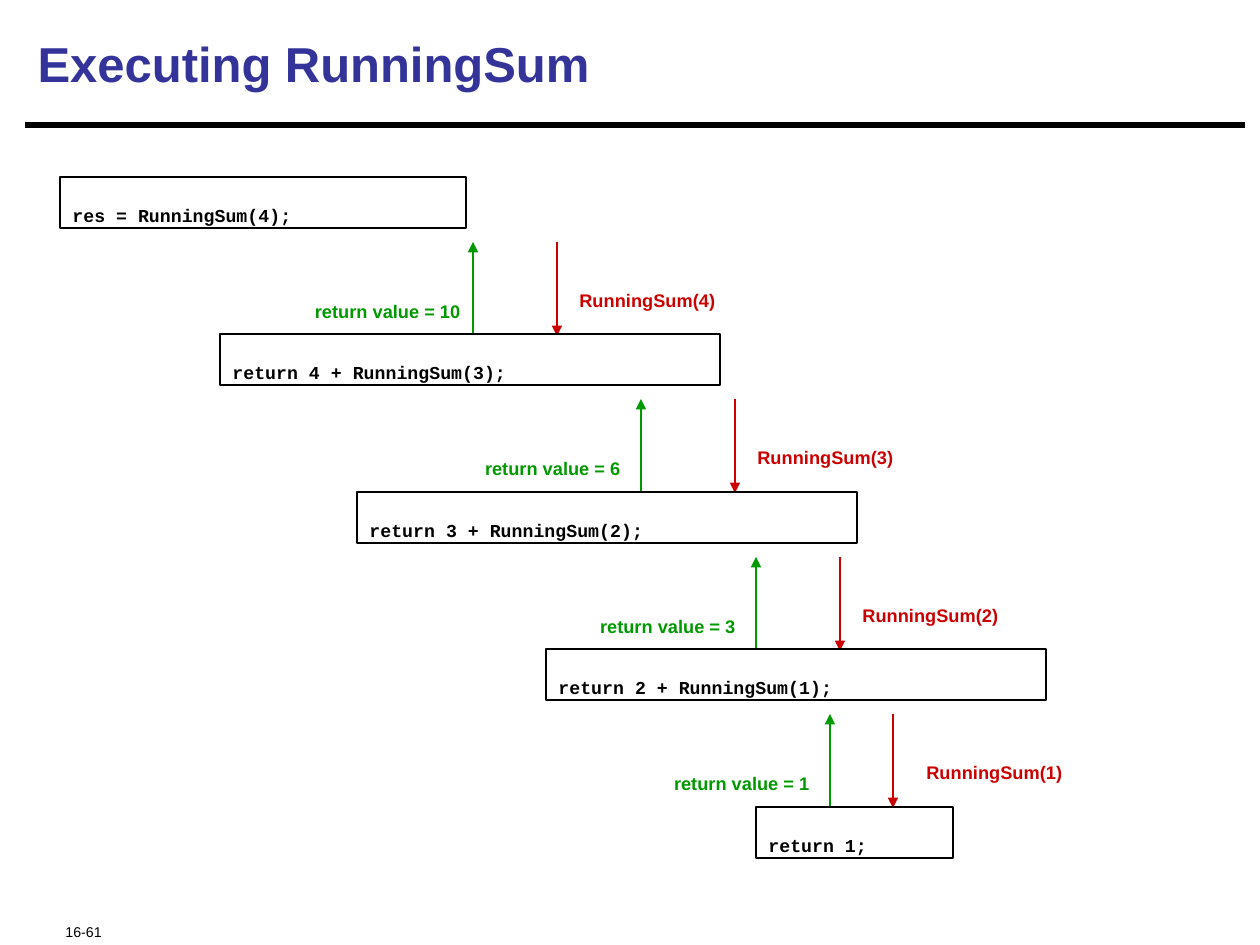
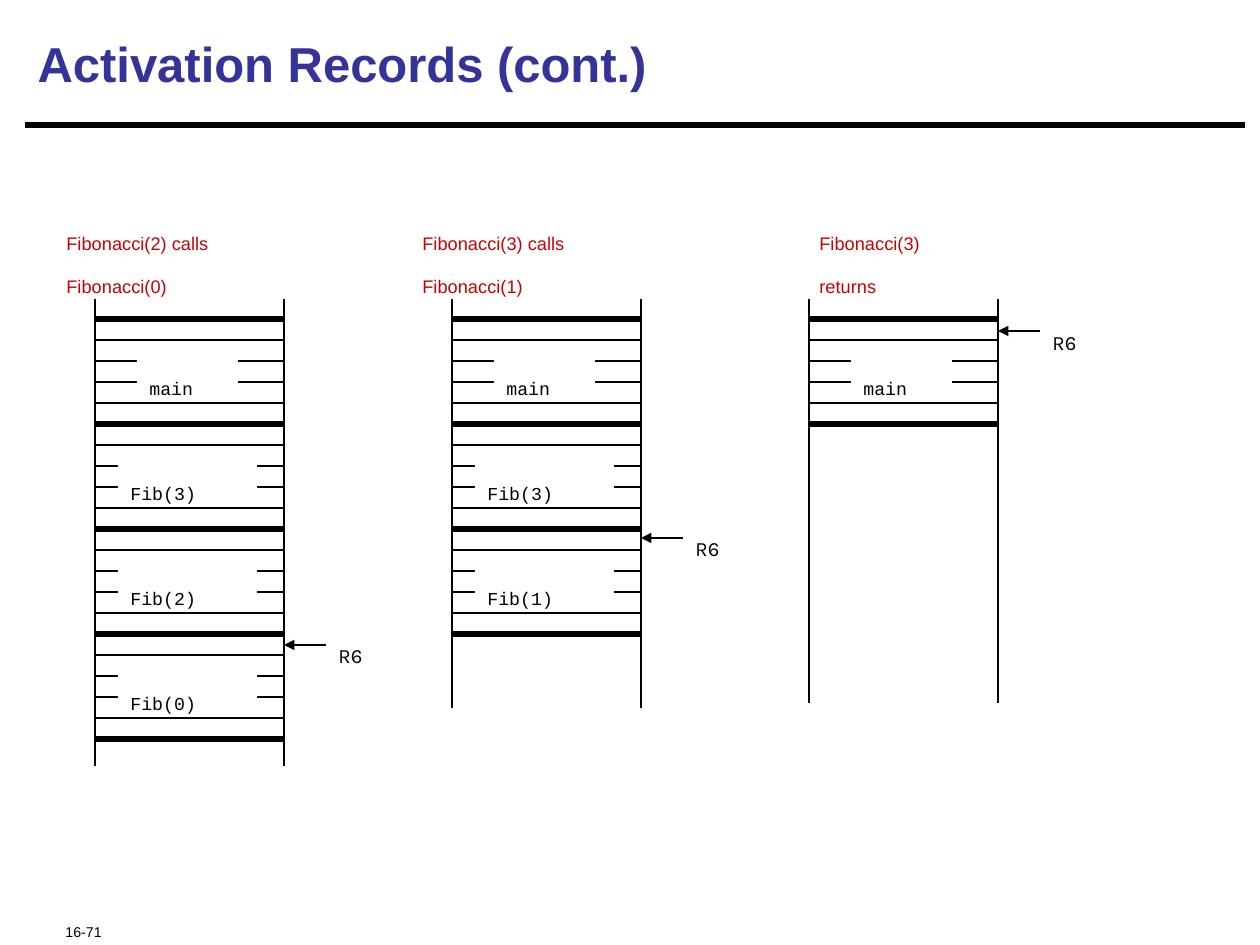
from lxml.etree import SubElement
from pptx import Presentation
from pptx.dml.color import RGBColor
from pptx.enum.shapes import MSO_CONNECTOR, MSO_SHAPE
from pptx.enum.text import MSO_ANCHOR, PP_ALIGN
from pptx.oxml.ns import qn
from pptx.util import Emu, Pt

BLACK, WHITE, TITLE_BLUE = "000000", "FFFFFF", "333399"
CALL_RED, RETURN_GREEN = "CC0000", "009900"
SANS, CODE, REGISTER_FONT = "Arial", "Courier New", "Karla"
TITLE_ONLY = 5


def px(length):
    """Convert pixels (126 to the inch) to EMU."""
    return Emu(round(length * 914400 / 126))


def rgb(hex_color):
    return RGBColor.from_string(hex_color)


def style_text(frame, font, size, color, bold=False, align=PP_ALIGN.LEFT, lowered=True):
    """Format every run; lowered text is set as a subscript."""
    for paragraph in frame.paragraphs:
        paragraph.alignment = align
        for run in paragraph.runs:
            run.font.name = font
            run.font.size = Pt(size)
            run.font.bold = bold
            run.font.color.rgb = rgb(color)
            if lowered:
                properties = run.font._element
                properties.set("baseline", "-25000")
            if font == REGISTER_FONT:
                run.font._element.find(qn("a:latin")).set("pitchFamily", "49")


def add_label(slide, box, text, font=SANS, size=18, color=BLACK,
              anchor=MSO_ANCHOR.TOP, **text_style):
    label = slide.shapes.add_textbox(*map(px, box))
    frame = label.text_frame
    frame.word_wrap = True
    frame.vertical_anchor = anchor
    frame.text = text
    style_text(frame, font, size, color, **text_style)


def add_code_box(slide, box, code, outline=None, bold=False):
    code_box = slide.shapes.add_shape(MSO_SHAPE.RECTANGLE, *map(px, box))
    code_box.shadow.inherit = False
    code_box.fill.solid()
    code_box.fill.fore_color.rgb = rgb(WHITE)
    if outline:
        code_box.line.color.rgb = rgb(outline)
        code_box.line.width = Pt(0.75)
    else:
        code_box.line.fill.background()
    frame = code_box.text_frame
    frame.word_wrap = True
    frame.vertical_anchor = MSO_ANCHOR.TOP
    frame.text = code
    style_text(frame, CODE, 18, BLACK, bold=bold)


def add_line(slide, start, end, color=BLACK, width=0.75, arrow=False):
    line = slide.shapes.add_connector(MSO_CONNECTOR.STRAIGHT, *map(px, (*start, *end)))
    line.line.color.rgb = rgb(color)
    line.line.width = Pt(width)
    if arrow:
        SubElement(line.line._get_or_add_ln(), qn("a:tailEnd"), type="triangle")
    SubElement(line.element.spPr, qn("a:effectLst"))
    return line


def add_title_slide(deck, title, page):
    """Add a slide with the shared title style and page number."""
    slide = deck.slides.add_slide(deck.slide_layouts[TITLE_ONLY])
    heading = slide.shapes.title
    heading.left, heading.top, heading.width, heading.height = map(px, (25, 10, 1219, 106))
    frame = heading.text_frame
    frame.text = title
    frame.vertical_anchor = MSO_ANCHOR.MIDDLE
    style_text(frame, SANS, 28, TITLE_BLUE, bold=True, lowered=False)
    add_label(slide, (53, 901, 315, 34), page, size=14)
    return slide


def add_layout_rule(deck, slide):
    """Draw the rule under the title and move it to the layout."""
    rule = add_line(slide, (25, 125), (1245, 125), width=3.75)
    deck.slide_layouts[TITLE_ONLY].shapes.element.append(rule.element)


def add_call(slide, top, call, call_x, call_gap, result, return_x, return_gap):
    """Draw the call and return arrows that hang below the box at top."""
    upper, lower = top + 64, top + 158
    add_line(slide, (call_x, upper), (call_x, lower), CALL_RED, 1.5, arrow=True)
    add_label(slide, (call_x + call_gap, top + 84, 262, 50), call,
              color=CALL_RED, bold=True)
    add_line(slide, (return_x, lower), (return_x, upper), RETURN_GREEN, 1.5, arrow=True)
    label_width = 278
    add_label(slide, (return_x - return_gap - label_width, top + 95, label_width, 50),
              f"return value = {result}", color=RETURN_GREEN, bold=True,
              align=PP_ALIGN.RIGHT)


def build_running_sum(deck):
    slide = add_title_slide(deck, "Executing RunningSum", "16-61")
    add_layout_rule(deck, slide)
    tops = [178 + 315 * level // 2 for level in range(5)]
    calls = [
        ("RunningSum(4)", 557, 10, 10, 473, 0),
        ("RunningSum(3)", 735, 10, 6, 641, 8),
        ("RunningSum(2)", 840, 10, 3, 756, 8),
        ("RunningSum(1)", 893, 21, 1, 830, 8),
    ]
    for top, call in zip(tops, calls):
        add_call(slide, top, *call)
    statements = [
        ("res = RunningSum(4);", 60, 406),
        ("return 4 + RunningSum(3);", 220, 500),
        ("return 3 + RunningSum(2);", 357, 500),
        ("return 2 + RunningSum(1);", 546, 500),
        ("return 1;", 756, 197),
    ]
    for top, (statement, left, width) in zip(tops, statements):
        add_code_box(slide, (left, top - 1, width, 51), statement, outline=BLACK, bold=True)


STACK_WIDTH = 189
ROW_HEIGHT = 21
ROWS_PER_FRAME = 5
FRAME_HEIGHT = ROW_HEIGHT * ROWS_PER_FRAME


def add_stack(slide, left, top, bottom, functions):
    """Draw a memory column holding one activation record per function."""
    right = left + STACK_WIDTH
    for side in (left, right):
        add_line(slide, (side, top), (side, bottom))
    first_row = top + 20
    for row in range(len(functions) * ROWS_PER_FRAME + 1):
        y = first_row + row * ROW_HEIGHT
        add_line(slide, (left, y), (right, y), width=0.75 if row % ROWS_PER_FRAME else 3)
    for index, function in enumerate(functions):
        width = 101 if function == "main" else 139
        inset = (STACK_WIDTH - width) // 2 - 2
        add_code_box(slide, (left + inset, first_row + index * FRAME_HEIGHT + 31, width, 50),
                     function)


def add_frame_pointer(slide, stack_right, y):
    tail = stack_right + 42
    add_line(slide, (tail, y), (stack_right, y), arrow=True)
    add_label(slide, (tail, y - 31, 71, 54), "R6", font=REGISTER_FONT, size=20)


def build_activation_records(deck):
    slide = add_title_slide(deck, "Activation Records (cont.)", "16-71")
    snapshots = [
        ("Fibonacci(2) calls\vFibonacci(0)", -41, 280, 766, 645,
         ["main", "Fib(3)", "Fib(2)", "Fib(0)"]),
        ("Fibonacci(3) calls\vFibonacci(1)", -42, 280, 708, 538,
         ["main", "Fib(3)", "Fib(1)"]),
        ("Fibonacci(3)\vreturns", -2, 199, 703, 331, ["main"]),
    ]
    for index, snapshot in enumerate(snapshots):
        event, event_shift, event_width, bottom, pointer_y, functions = snapshot
        left = 95 + 357 * index
        add_stack(slide, left, 299, bottom, functions)
        add_frame_pointer(slide, left + STACK_WIDTH, pointer_y)
        add_label(slide, (left + event_shift, 210, event_width, 88), event,
                  color=CALL_RED, anchor=MSO_ANCHOR.MIDDLE)


def main():
    deck = Presentation()
    deck.slide_width, deck.slide_height = px(1260), px(945)
    build_running_sum(deck)
    build_activation_records(deck)
    deck.save("out.pptx")


if __name__ == "__main__":
    main()
